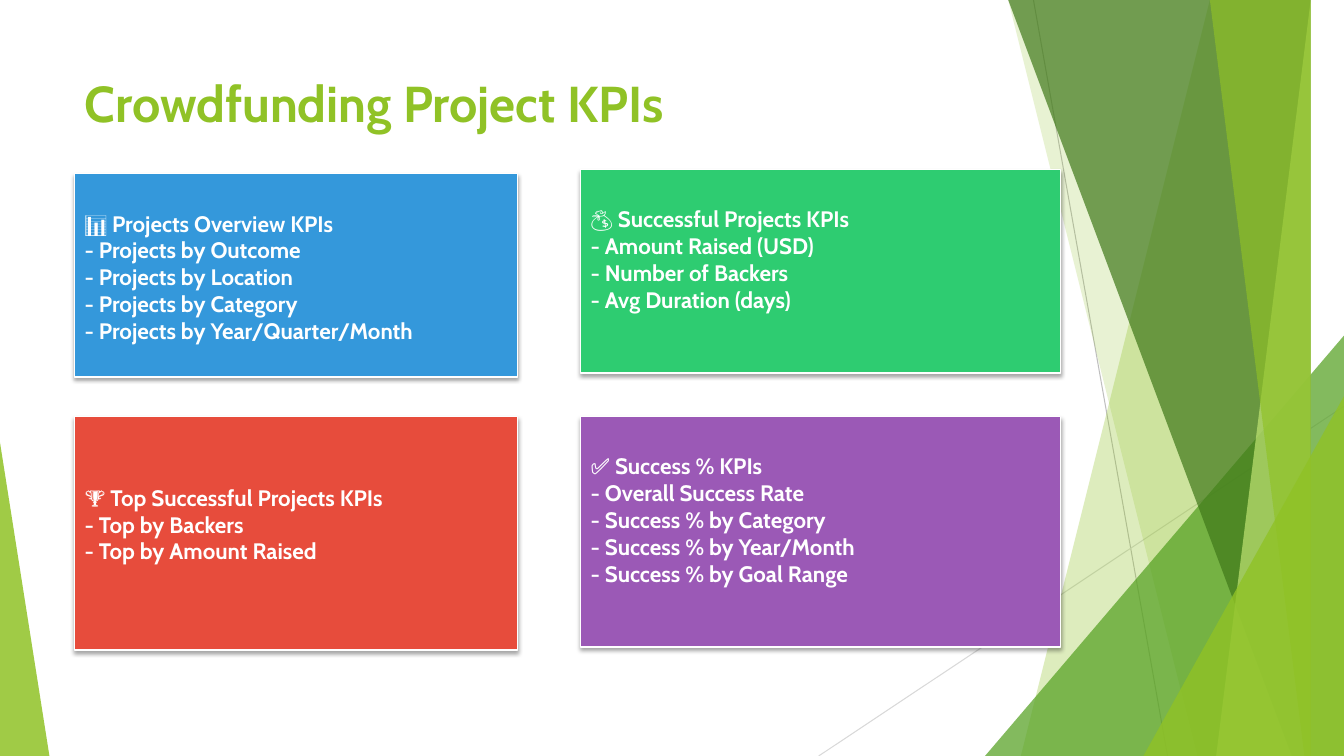
"""Build the crowdfunding KPI slide with its faceted green backdrop."""
from lxml import etree
from pptx import Presentation, util as u
from pptx.dml.color import RGBColor
from pptx.enum import shapes, text
from pptx.oxml.ns import qn

COLORS = {
    "white": "FFFFFF", "black": "000000", "lime": "90C226", "green": "54A021",
    "forest": "3F7819", "pale": "C0E474", "gray": "BFBFBF", "silver": "D9D9D9",
    "blue": "3498DB", "emerald": "2ECC71", "red": "E74C3C", "purple": "9B59B6",
}
WIDTH, HEIGHT = 13.33, 7.5


class Slide:
    def __init__(self, prs, font):
        self.s = prs.slides.add_slide(prs.slide_layouts[6])
        self.font = font

    def rgb(self, color):
        return RGBColor.from_string(COLORS[color])

    def fill(self, sp, color, alpha=None):
        sp.shadow.inherit = False
        sp.fill.solid()
        sp.fill.fore_color.rgb = self.rgb(color)
        if alpha is None:
            return
        sp.line.fill.background()
        clr = sp._element.spPr.find(qn("a:solidFill")).find(qn("a:srgbClr"))
        etree.SubElement(clr, qn("a:alpha"), val=str(alpha * 1000))

    def line(self, x1, y1, x2, y2, color):
        ends = [u.Inches(v) for v in (x1, y1, x2, y2)]
        cn = self.s.shapes.add_connector(shapes.MSO_CONNECTOR.STRAIGHT, *ends)
        cn.line.color.rgb = self.rgb(color)
        cn.line.width = u.Pt(0.75)
        etree.SubElement(cn._element.spPr, qn("a:effectLst"))

    def facet(self, top_left, bottom_left, color, alpha):
        fb = self.s.shapes.build_freeform(top_left, 0, scale=u.Inches(1))
        fb.add_line_segments([(WIDTH, 0), (WIDTH, HEIGHT), (bottom_left, HEIGHT)])
        self.fill(fb.convert_to_shape(), color, alpha)

    def triangle(self, x, y, w, apex, color, alpha):
        box = [u.Inches(v) for v in (x, y, w, HEIGHT - y)]
        sp = self.s.shapes.add_shape(shapes.MSO_SHAPE.ISOSCELES_TRIANGLE, *box)
        sp.adjustments[0] = apex
        self.fill(sp, color, alpha)

    def label(self, sp, lines, size, color, inset=0.05):
        tf = sp.text_frame
        frame = {"word_wrap": True, "vertical_anchor": text.MSO_ANCHOR.TOP,
                 "margin_top": u.Inches(inset)}
        for name, value in frame.items():
            setattr(tf, name, value)
        style = {"name": self.font, "size": u.Pt(size), "bold": True}
        for i, line in enumerate(lines):
            p = tf.add_paragraph() if i else tf.paragraphs[0]
            p.alignment = text.PP_ALIGN.LEFT
            r = p.add_run()
            r.text = line
            for name, value in style.items():
                setattr(r.font, name, value)
            r.font.color.rgb = self.rgb(color)

    def title(self, words, x, y, w, h):
        box = [u.Inches(v) for v in (x, y, w, h)]
        self.label(self.s.shapes.add_textbox(*box), [words], 36, "lime")

    def card(self, x, y, w, h, color, inset, lines):
        box = [u.Inches(v) for v in (x, y, w, h)]
        sp = self.s.shapes.add_shape(shapes.MSO_SHAPE.RECTANGLE, *box)
        self.fill(sp, color)
        sp.line.color.rgb = self.rgb("white")
        sp.line.width = u.Pt(1)
        effects = sp._element.spPr.find(qn("a:effectLst"))
        shadow = etree.SubElement(effects, qn("a:outerShdw"), blurRad=str(u.Pt(3)),
                                  dist=str(u.Pt(2)), dir="5400000", rotWithShape="0")
        clr = etree.SubElement(shadow, qn("a:srgbClr"), val=COLORS["black"])
        etree.SubElement(clr, qn("a:alpha"), val="35000")
        self.label(sp, lines, 16, "white", inset)


def main():
    prs = Presentation()
    prs.slide_width, prs.slide_height = u.Inches(WIDTH), u.Inches(HEIGHT)
    slide = Slide(prs, "Cabin")

    slide.line(10.25, 0, 11.58, HEIGHT, "gray")
    slide.line(WIDTH, 4.03, 8.12, HEIGHT, "silver")
    slide.facet(12.28, 10.04, "lime", 30)
    slide.facet(10.5, 11.83, "lime", 20)
    slide.triangle(9.77, 3.33, 3.56, 1, "green", 72)
    slide.facet(10.21, 12.91, "forest", 70)
    slide.facet(13.03, 11.92, "pale", 70)
    slide.facet(11.96, 13.18, "lime", 65)
    slide.triangle(11.34, 3.93, 1.99, 1, "lime", 80)
    slide.triangle(0, 4.39, 0.49, 0, "lime", 85)

    slide.title("Crowdfunding Project KPIs", 0.74, 0.67, 9.4, 0.8)

    left, right = (0.74, 4.39), (5.76, 4.76)
    cards = [
        (left, 1.72, 2.02, "blue", 0.36,
         ["📊 Projects Overview KPIs", "- Projects by Outcome", "- Projects by Location",
          "- Projects by Category", "- Projects by Year/Quarter/Month"]),
        (right, 1.68, 2.02, "emerald", 0.36,
         ["💰 Successful Projects KPIs", "- Amount Raised (USD)",
          "- Number of Backers", "- Avg Duration (days)"]),
        (left, 4.13, 2.32, "red", 0.67,
         ["🏆 Top Successful Projects KPIs", "- Top by Backers", "- Top by Amount Raised"]),
        (right, 4.13, 2.29, "purple", 0.36,
         ["✅ Success % KPIs", "- Overall Success Rate", "- Success % by Category",
          "- Success % by Year/Month", "- Success % by Goal Range"]),
    ]
    for (x, w), y, h, color, inset, lines in cards:
        slide.card(x, y, w, h, color, inset, lines)

    prs.save("out.pptx")


if __name__ == "__main__":
    main()
